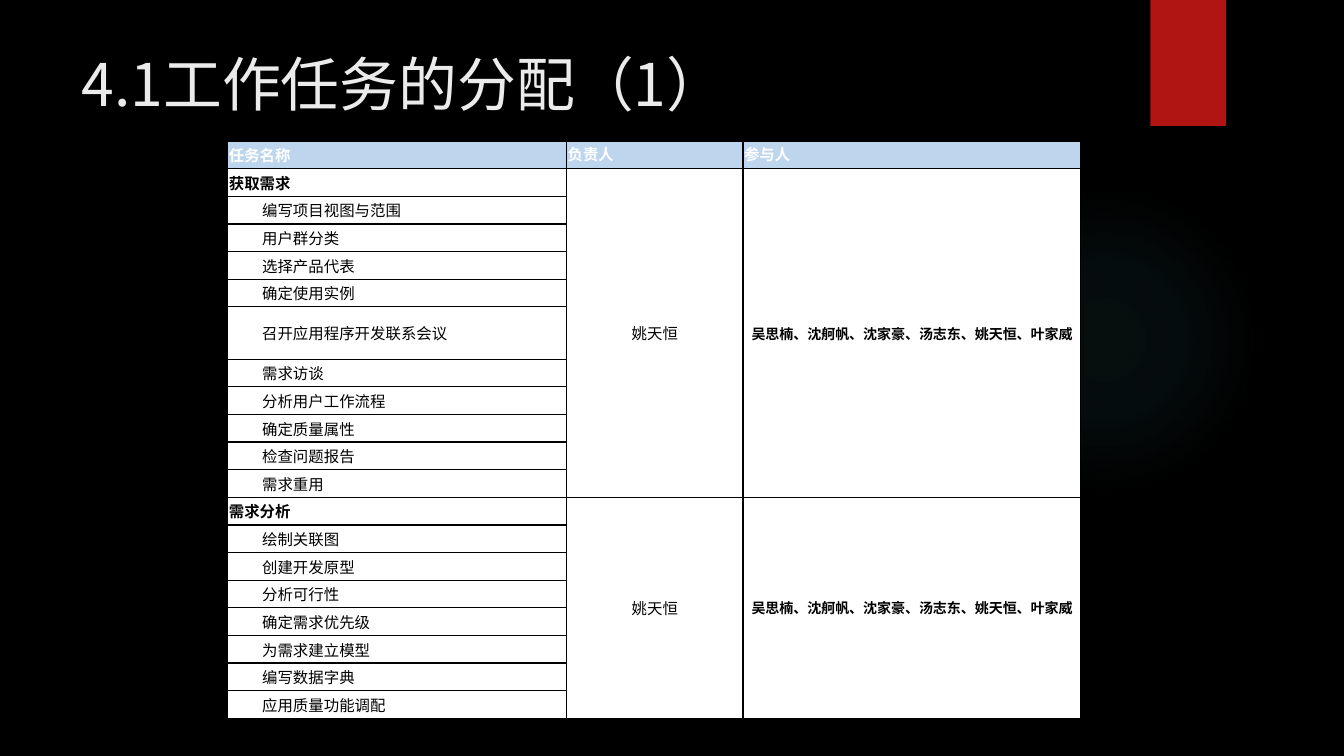
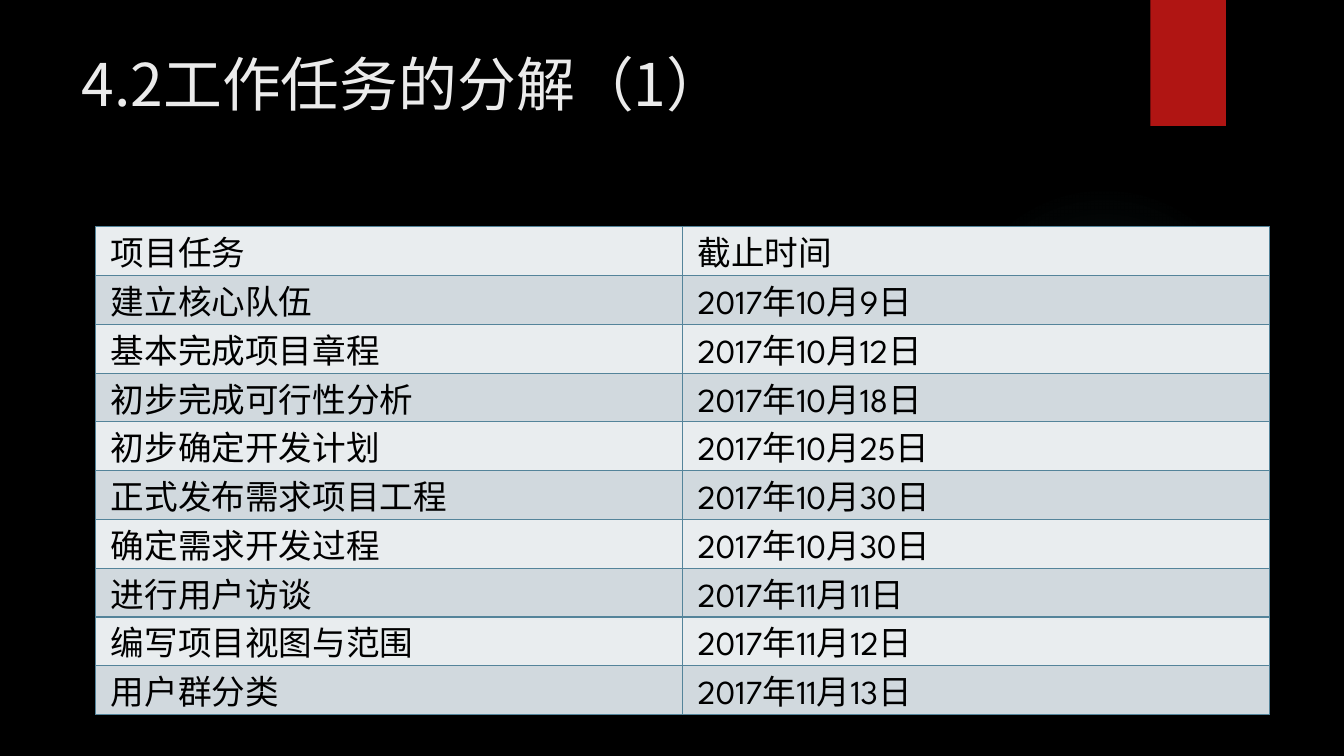
from lxml import etree
from pptx import Presentation
from pptx.dml.color import RGBColor
from pptx.enum.shapes import MSO_SHAPE as Shape
from pptx.enum.text import MSO_ANCHOR as Anchor, MSO_AUTO_SIZE as AutoSize, PP_ALIGN as Align
from pptx.oxml import parse_xml
from pptx.oxml.ns import nsdecls, qn
from pptx.util import Inches, Pt

# Shared colours and fonts
BLACK, WHITE, TITLE_GREY = "000000", "FFFFFF", "EBEBEB"
RED, GLOW = "B01513", "50B9C1"
HEADER_BLUE, LIGHT, MEDIUM, TEAL = "BDD6EE", "E9EDEF", "D1D9DE", "54849A"
CHINESE_FONT = "Noto Sans CJK SC"


def write(paragraph, text, color, **font_values):
    run = paragraph.add_run()
    run.text = text
    run.font.color.rgb = RGBColor.from_string(color)
    for name, value in font_values.items():
        setattr(run.font, name, value)
    etree.SubElement(run.font._element, qn("a:ea"), typeface=CHINESE_FONT)


def format_cell(cell, fill, border, side_margin, end_margin, anchor):
    cell.fill.solid()
    cell.fill.fore_color.rgb = RGBColor.from_string(fill)
    values = {"margin_left": Inches(side_margin), "margin_right": Inches(side_margin),
              "margin_top": Inches(end_margin), "margin_bottom": Inches(end_margin),
              "vertical_anchor": anchor}
    for name, value in values.items():
        setattr(cell, name, value)
    properties = cell._tc.get_or_add_tcPr()
    for index, side in enumerate("LRTB"):
        properties.insert(index, parse_xml(
            f'<a:ln{side} {nsdecls("a")} w="{Pt(1)}"><a:solidFill>'
            f'<a:srgbClr val="{border}"/></a:solidFill></a:ln{side}>'))


presentation = Presentation()
presentation.slide_width, presentation.slide_height = Inches(13.33), Inches(7.5)

# Layout: black background and title box
layout = presentation.slide_layouts[5]
layout.background.fill.solid()
layout.background.fill.fore_color.rgb = RGBColor.from_string(BLACK)
layout_title = layout.placeholders[0]
title_box = {"left": 0.71, "top": 0.5, "width": 10.29, "height": 1.09}
for name, value in title_box.items():
    setattr(layout_title, name, Inches(value))
layout_title.text_frame.vertical_anchor = Anchor.TOP
layout_title.text_frame.auto_size = AutoSize.NONE

# Slides with their titles
slides = []
for text in ("4.1工作任务的分配（1）", "4.2工作任务的分解（1）"):
    slide = presentation.slides.add_slide(layout)
    paragraph = slide.shapes.title.text_frame.paragraphs[0]
    paragraph.alignment = Align.LEFT
    paragraph.line_spacing = 0.9
    write(paragraph, text, TITLE_GREY, size=Pt(42), name=CHINESE_FONT)
    slides.append(slide)
assignment_slide, schedule_slide = slides

# Layout decorations: glow and red ribbon, drawn once and moved to the layout
glow = assignment_slide.shapes.add_shape(
    Shape.OVAL, Inches(9.41), Inches(1.83), Inches(3.08), Inches(3.08))
stops = "".join(
    f'<a:gs pos="{position * 1000}"><a:srgbClr val="{GLOW}">'
    f'<a:alpha val="{alpha * 1000}"/></a:srgbClr></a:gs>'
    for position, alpha in ((0, 7), (36, 6), (69, 0), (100, 0)))
glow.element.spPr.insert(2, parse_xml(
    f'<a:gradFill {nsdecls("a")}><a:gsLst>{stops}</a:gsLst><a:path path="circle">'
    '<a:fillToRect l="50000" t="50000" r="50000" b="50000"/></a:path></a:gradFill>'))
ribbon = assignment_slide.shapes.add_shape(
    Shape.RECTANGLE, Inches(11.41), 0, Inches(0.75), Inches(1.25))
ribbon.fill.solid()
ribbon.fill.fore_color.rgb = RGBColor.from_string(RED)
for shape_id, shape in enumerate((glow, ribbon), 20):
    shape.line.fill.background()
    shape.shadow.inherit = False
    shape.element.nvSpPr.cNvPr.set("id", str(shape_id))
    layout.shapes.element.append(shape.element)

# Slide 1: task assignment table
members = "吴思楠、沈舸帆、沈家豪、汤志东、姚天恒、叶家威"
leader = "姚天恒"
stages = {
    "获取需求": ["编写项目视图与范围", "用户群分类", "选择产品代表", "确定使用实例",
             "召开应用程序开发联系会议", "需求访谈", "分析用户工作流程", "确定质量属性",
             "检查问题报告", "需求重用"],
    "需求分析": ["绘制关联图", "创建开发原型", "分析可行性", "确定需求优先级",
             "为需求建立模型", "编写数据字典", "应用质量功能调配"],
}
row_count = 1 + sum(1 + len(tasks) for tasks in stages.values())
tall_row, tall_height, table_height = 6, 0.52, 5.73
row_height = (table_height - tall_height) / (row_count - 1)
table = assignment_slide.shapes.add_table(
    row_count, 3, Inches(2.26), Inches(1.4), Inches(8.46), Inches(table_height)).table
table.first_row = table.horz_banding = False
for column, width in zip(table.columns, (3.36, 1.75, 3.35)):
    column.width = Inches(width)
for index, row in enumerate(table.rows):
    row.height = Inches(tall_height if index == tall_row else row_height)
    for column, cell in enumerate(row.cells):
        header = index == 0
        format_cell(cell, HEADER_BLUE if header else WHITE, BLACK, 0.01, 0.01,
                    Anchor.TOP if header and column else Anchor.MIDDLE)

# Each entry: row, column, text, colour, size, bold, alignment, indent
entries = [(0, column, text, WHITE, 11, True, Align.JUSTIFY, 0)
           for column, text in enumerate(("任务名称", "负责人", "参与人"))]
start = 1
for stage, tasks in stages.items():
    end = start + len(tasks)
    for column in (1, 2):
        table.cell(start, column).merge(table.cell(end, column))
    entries += [(start, 0, stage, BLACK, 11, True, Align.JUSTIFY, 0),
                (start, 1, leader, BLACK, 11, False, Align.CENTER, 0),
                (start, 2, members, BLACK, 10, True, Align.CENTER, 0)]
    entries += [(row, 0, task, BLACK, 11, False, Align.JUSTIFY, 0.33)
                for row, task in enumerate(tasks, start + 1)]
    start = end + 1
for row, column, text, color, size, bold, alignment, indent in entries:
    paragraph = table.cell(row, column).text_frame.paragraphs[0]
    paragraph.alignment = alignment
    if indent:
        properties = paragraph._p.get_or_add_pPr()
        properties.set("marL", "0")
        properties.set("indent", str(Inches(indent)))
    write(paragraph, text, color, size=Pt(size), bold=bold, name="Calibri")

# Slide 2: schedule table
schedule = [
    ("项目任务", "截止时间"),
    ("建立核心队伍", "2017年10月9日"),
    ("基本完成项目章程", "2017年10月12日"),
    ("初步完成可行性分析", "2017年10月18日"),
    ("初步确定开发计划", "2017年10月25日"),
    ("正式发布需求项目工程", "2017年10月30日"),
    ("确定需求开发过程", "2017年10月30日"),
    ("进行用户访谈", "2017年11月11日"),
    ("编写项目视图与范围", "2017年11月12日"),
    ("用户群分类", "2017年11月13日"),
]
table = schedule_slide.shapes.add_table(
    len(schedule), 2, Inches(0.95), Inches(2.25), Inches(11.64), Inches(4.02)).table
table.first_row = table.horz_banding = False
for index, (row, texts) in enumerate(zip(table.rows, schedule)):
    for cell, text in zip(row.cells, texts):
        format_cell(cell, MEDIUM if index % 2 else LIGHT, TEAL, 0.15, 0, Anchor.TOP)
        write(cell.text_frame.paragraphs[0], text, BLACK,
              size=Pt(24), bold=False, name="League Spartan")

presentation.save("out.pptx")
